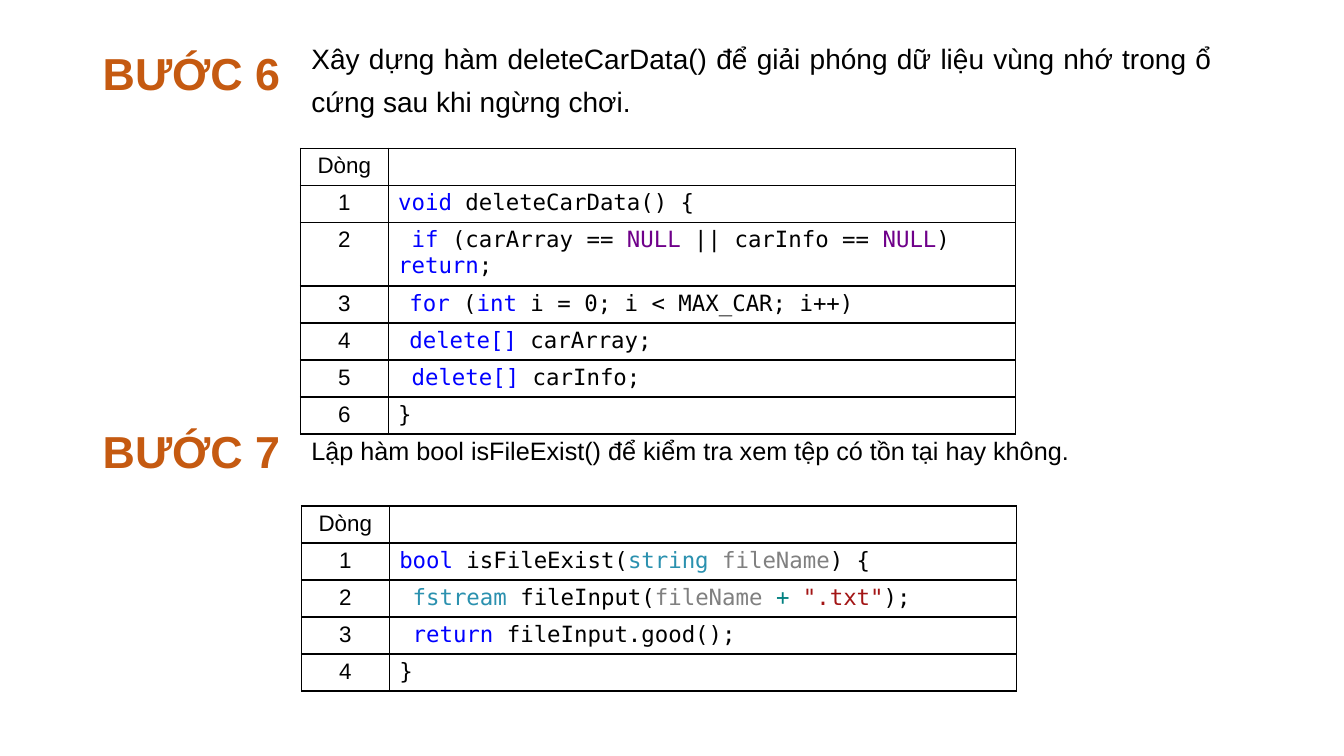
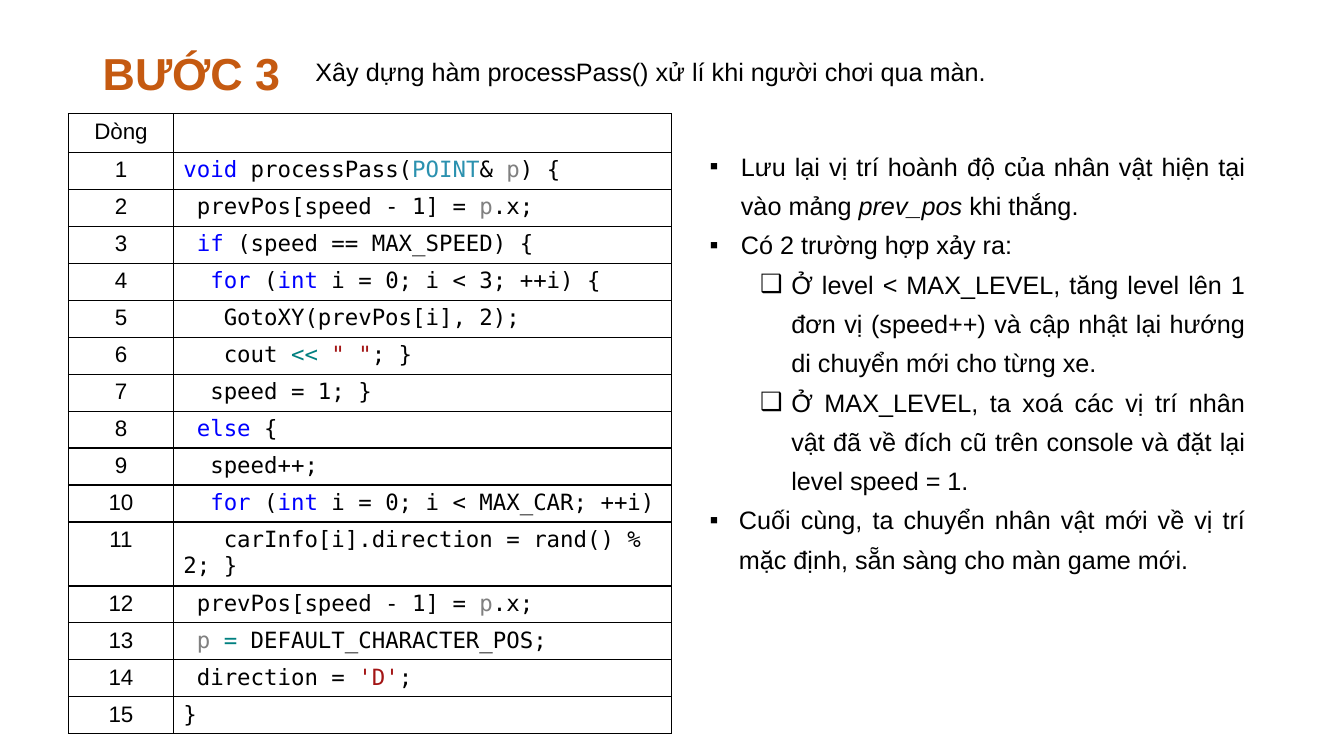
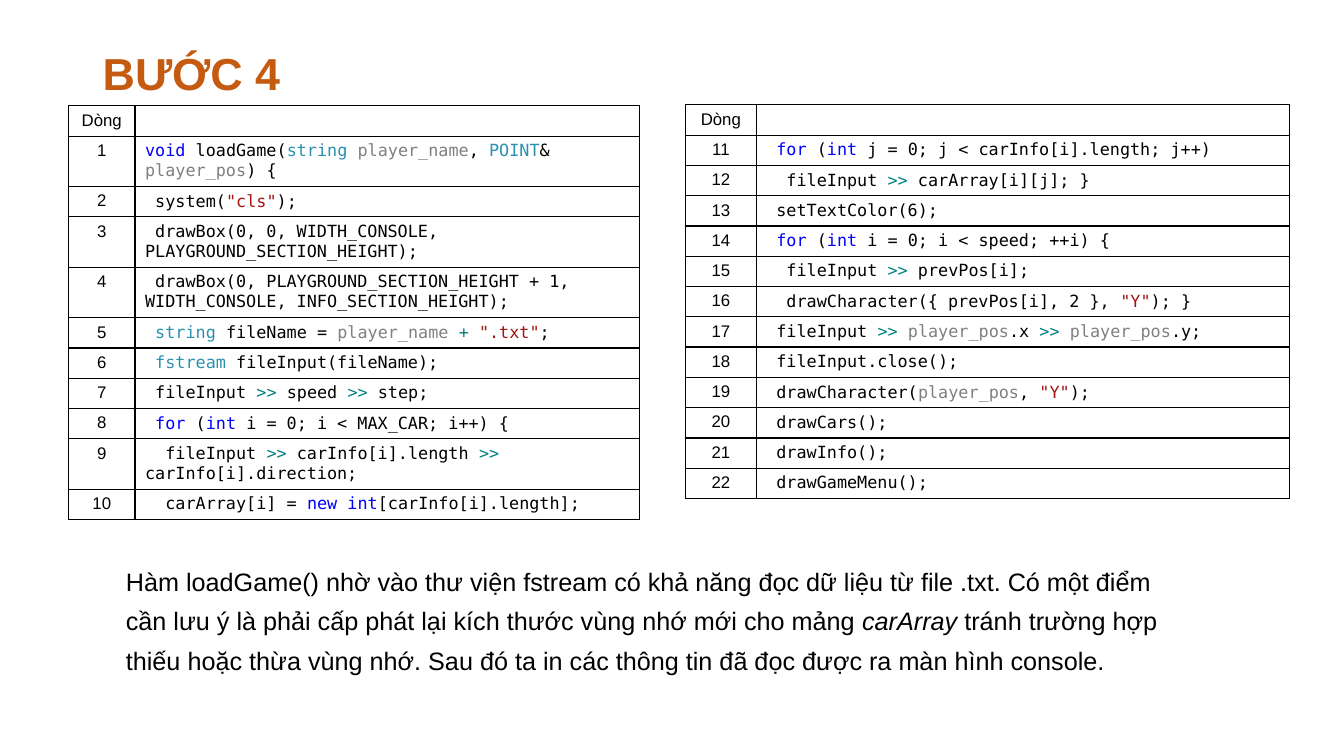
from lxml import etree
from pptx import Presentation
from pptx.dml.color import RGBColor
from pptx.enum.text import PP_ALIGN
from pptx.oxml.ns import qn
from pptx.util import Inches, Pt

LEFT, CENTER, JUST = PP_ALIGN.LEFT, PP_ALIGN.CENTER, PP_ALIGN.JUSTIFY
BLACK = RGBColor(0x00, 0x00, 0x00)
ORANGE = RGBColor(0xC5, 0x5A, 0x11)
BLUE = RGBColor(0x00, 0x00, 0xFF)
PURPLE = RGBColor(0x6F, 0x00, 0x8A)
CYAN = RGBColor(0x2B, 0x91, 0xAF)
GRAY = RGBColor(0x80, 0x80, 0x80)
TEAL = RGBColor(0x00, 0x80, 0x80)
RED = RGBColor(0xA3, 0x15, 0x15)
SANS, MONO, SERIF = "Arial", "DejaVu Sans Mono", "Times New Roman"

# Marked text: `key:words` takes the font, colour and slant of its key
MARKS = {
    "k": (MONO, BLUE, False),     # keyword
    "n": (MONO, PURPLE, False),   # constant
    "t": (MONO, CYAN, False),     # type
    "a": (MONO, GRAY, False),     # argument
    "o": (MONO, TEAL, False),     # operator
    "s": (MONO, RED, False),      # string
    "w": (SERIF, BLACK, False),   # narrow space
    "i": (SANS, BLACK, True),     # italic
}

# Content
DELETE = [
    "`k:void` deleteCarData() {",
    "`k: if` (carArray == `n:NULL` || carInfo == `n:NULL`) `k:return`;",
    "`w:  ``k:for` (`k:int` i = 0; i < MAX_CAR; i++)",
    "`w:  ``k:delete[]` carArray;",
    "`k: delete[]` carInfo;",
    "}",
]
EXIST = [
    "`k:bool` isFileExist(`t:string ``a:fileName`) {",
    "`t: fstream` fileInput(`a:fileName ``o:+ ``s:\".txt\"`);",
    "`k: return` fileInput.good();",
    "}",
]
PASS = [
    "`k:void` processPass(`t:POINT`& `a:p`) {",
    " prevPos[speed - 1] = `a:p`.x;",
    "`k: if` (speed == MAX_SPEED) {",
    "`k:  for` (`k:int` i = 0; i < 3; ++i) {",
    "   GotoXY(prevPos[i], 2);",
    "   cout `o:<< ``s:\" \"`; }",
    "  speed = 1; }",
    "`k: else` {",
    "  speed++;",
    "`k:  for` (`k:int` i = 0; i < MAX_CAR; ++i)",
    "   carInfo[i].direction = rand() % 2; }",
    " prevPos[speed - 1] = `a:p`.x;",
    "`a: p ``o:=` DEFAULT_CHARACTER_POS;",
    " direction = `s:'D'`;",
    "}",
]
LOAD = [
    "`k:void` loadGame(`t:string ``a:player_name`, `t:POINT`& `a:player_pos`) {",
    " system(`s:\"cls\"`);",
    " drawBox(0, 0, WIDTH_CONSOLE, PLAYGROUND_SECTION_HEIGHT);",
    " drawBox(0, PLAYGROUND_SECTION_HEIGHT + 1, WIDTH_CONSOLE, INFO_SECTION_HEIGHT);",
    "`t: string` fileName = `a:player_name ``o:+ ``s:\".txt\"`;",
    "`t: fstream` fileInput(fileName);",
    " fileInput `o:>>` speed `o:>>` step;",
    "`k: for` (`k:int` i = 0; i < MAX_CAR; i++) {",
    "  fileInput `o:>>` carInfo[i].length `o:>>` carInfo[i].direction;",
    "  carArray[i] = `k:new int`[carInfo[i].length];",
    "`k: for` (`k:int` j = 0; j < carInfo[i].length; j++)",
    "  fileInput `o:>>` carArray[i][j]; }",
    " setTextColor(6);",
    "`k: for` (`k:int` i = 0; i < speed; ++i) {",
    "  fileInput `o:>>` prevPos[i];",
    "  drawCharacter({ prevPos[i], 2 }, `s:\"Y\"`); }",
    " fileInput `o:>> ``a:player_pos`.x `o:>> ``a:player_pos`.y;",
    " fileInput.close();",
    " drawCharacter(`a:player_pos`, `s:\"Y\"`);",
    " drawCars();",
    " drawInfo();",
    " drawGameMenu();",
]
SPLIT = 10  # lines of LOAD in the left table

# Bullet, left margin, hanging indent, text
NOTES = [
    ("▪", 0.31, 0.31, "Lưu lại vị trí hoành độ của nhân vật hiện tại vào mảng "
     "`i:prev_pos` khi thắng."),
    ("▪", 0.31, 0.31, "Có 2 trường hợp xảy ra:"),
    ("❑", 0.81, 0.31, "Ở level < MAX_LEVEL, tăng level lên 1 đơn vị (speed++) và "
     "cập nhật lại hướng di chuyển mới cho từng xe."),
    ("❑", 0.81, 0.31, "Ở MAX_LEVEL, ta xoá các vị trí nhân vật đã về đích cũ trên "
     "console và đặt lại level speed = 1."),
    ("▪", 0.29, 0.29, "Cuối cùng, ta chuyển nhân vật mới về vị trí mặc định, sẵn "
     "sàng cho màn game mới."),
]
FREE = ("Xây dựng hàm deleteCarData() để giải phóng dữ liệu vùng nhớ trong ổ cứng "
        "sau khi ngừng chơi.")
CHECK = "Lập hàm bool isFileExist() để kiểm tra xem tệp có tồn tại hay không."
LEVEL = "Xây dựng hàm processPass() xử lí khi người chơi qua màn."
ABOUT = ("Hàm loadGame() nhờ vào thư viện fstream có khả năng đọc dữ liệu từ file .txt. "
         "Có một điểm cần lưu ý là phải cấp phát lại kích thước vùng nhớ mới cho mảng "
         "`i:carArray` tránh trường hợp thiếu hoặc thừa vùng nhớ. Sau đó ta in các thông "
         "tin đã đọc được ra màn hình console.")


def write(para, text, size, font=SANS, color=BLACK, bold=False):
    """Split marked text into runs."""
    for i, part in enumerate(text.split("`")):
        if not part:
            continue
        style = (font, color, False)
        if i % 2:
            key, _, part = part.partition(":")
            style = MARKS[key]
        run = para.add_run()
        run.text = part
        run.font.size, run.font.bold = Pt(size), bold
        run.font.name, run.font.color.rgb, run.font.italic = style


def add_frame(slide, x, y, w, h):
    frame = slide.shapes.add_textbox(*map(Inches, (x, y, w, h))).text_frame
    frame.word_wrap = True
    return frame


def add_text(slide, x, y, w, h, text, size=18, align=LEFT, space=1.0):
    para = add_frame(slide, x, y, w, h).paragraphs[0]
    para.alignment, para.line_spacing = align, space
    write(para, text, size)


def add_step(slide, num, y=0.4):
    frame = add_frame(slide, 0.92, y, 2.1, 0.64)
    write(frame.paragraphs[0], f"BƯỚC {num}", 32, color=ORANGE, bold=True)


def add_notes(slide, x, y, w, h):
    frame = add_frame(slide, x, y, w, h)
    for i, (mark, left, hang, text) in enumerate(NOTES):
        para = frame.add_paragraph() if i else frame.paragraphs[0]
        para.alignment, para.line_spacing = JUST, 1.3
        props = para._p.get_or_add_pPr()
        props.set("marL", str(Inches(left)))
        props.set("indent", str(-Inches(hang)))
        etree.SubElement(props, qn("a:buFont")).set("typeface", SANS)
        etree.SubElement(props, qn("a:buChar")).set("char", mark)
        write(para, text, 18)


def set_border(cell):
    props = cell._tc.get_or_add_tcPr()
    for side in ("lnL", "lnR", "lnT", "lnB"):
        line = etree.SubElement(props, qn(f"a:{side}"), w=str(Pt(0.96)))
        fill = etree.SubElement(line, qn("a:solidFill"))
        etree.SubElement(fill, qn("a:srgbClr")).set("val", str(BLACK))
    cell.fill.background()


def add_code(slide, x, y, cols, lines, row, head=None, tall=None, size=16, first=1):
    """Table of numbered code lines; tall maps a line number to its height."""
    highs = [head or row] + [row] * len(lines)
    for num, high in (tall or {}).items():
        highs[num] = high
    table = slide.shapes.add_table(
        len(highs), 2, Inches(x), Inches(y), Inches(sum(cols)), Inches(sum(highs))).table
    table.first_row = table.horz_banding = False
    for col, wide in zip(table.columns, cols):
        col.width = Inches(wide)
    pairs = [("Dòng", "")] + [(str(n), code) for n, code in enumerate(lines, first)]
    for i, (label, code) in enumerate(pairs):
        table.rows[i].height = Inches(highs[i])
        left, right = table.cell(i, 0), table.cell(i, 1)
        set_border(left)
        set_border(right)
        para = left.text_frame.paragraphs[0]
        para.alignment = CENTER
        write(para, label, size)
        para = right.text_frame.paragraphs[0]
        write(para, code, size, MONO)
        if not code:  # keeps the empty cell as low as its row
            etree.SubElement(para._p, qn("a:endParaRPr")).set("sz", str(size * 100))


def main():
    deck = Presentation()
    deck.slide_width, deck.slide_height = Inches(13.33), Inches(7.5)
    blank = deck.slide_layouts[6]

    # Steps 6 and 7
    slide = deck.slides.add_slide(blank)
    cols = (0.87, 6.22)
    add_step(slide, 6)
    add_text(slide, 2.99, 0.26, 9.13, 0.92, FREE, 20, JUST, 1.3)
    add_code(slide, 2.98, 1.47, cols, DELETE, 0.367, tall={2: 0.63})
    add_step(slide, 7, 4.15)
    add_text(slide, 2.99, 4.27, 9.13, 0.4, CHECK)
    add_code(slide, 2.99, 5.02, cols, EXIST, 0.367)

    # Step 3
    slide = deck.slides.add_slide(blank)
    add_step(slide, 3)
    add_text(slide, 3.03, 0.51, 8.76, 0.4, LEVEL)
    add_code(slide, 0.68, 1.13, (1.04, 4.94), PASS, 0.35, head=0.38)
    add_notes(slide, 6.94, 1.36, 5.51, 4.78)

    # Step 4
    slide = deck.slides.add_slide(blank)
    add_step(slide, 4)
    add_code(slide, 0.68, 1.05, (0.66, 5), LOAD[:SPLIT], 0.29, head=0.3, size=12)
    add_code(slide, 6.8, 1.04, (0.7, 5.29), LOAD[SPLIT:], 0.3, size=12, first=SPLIT + 1)
    add_text(slide, 1.15, 5.48, 10.78, 1.63, ABOUT, space=1.3)

    deck.save("out.pptx")


if __name__ == "__main__":
    main()
